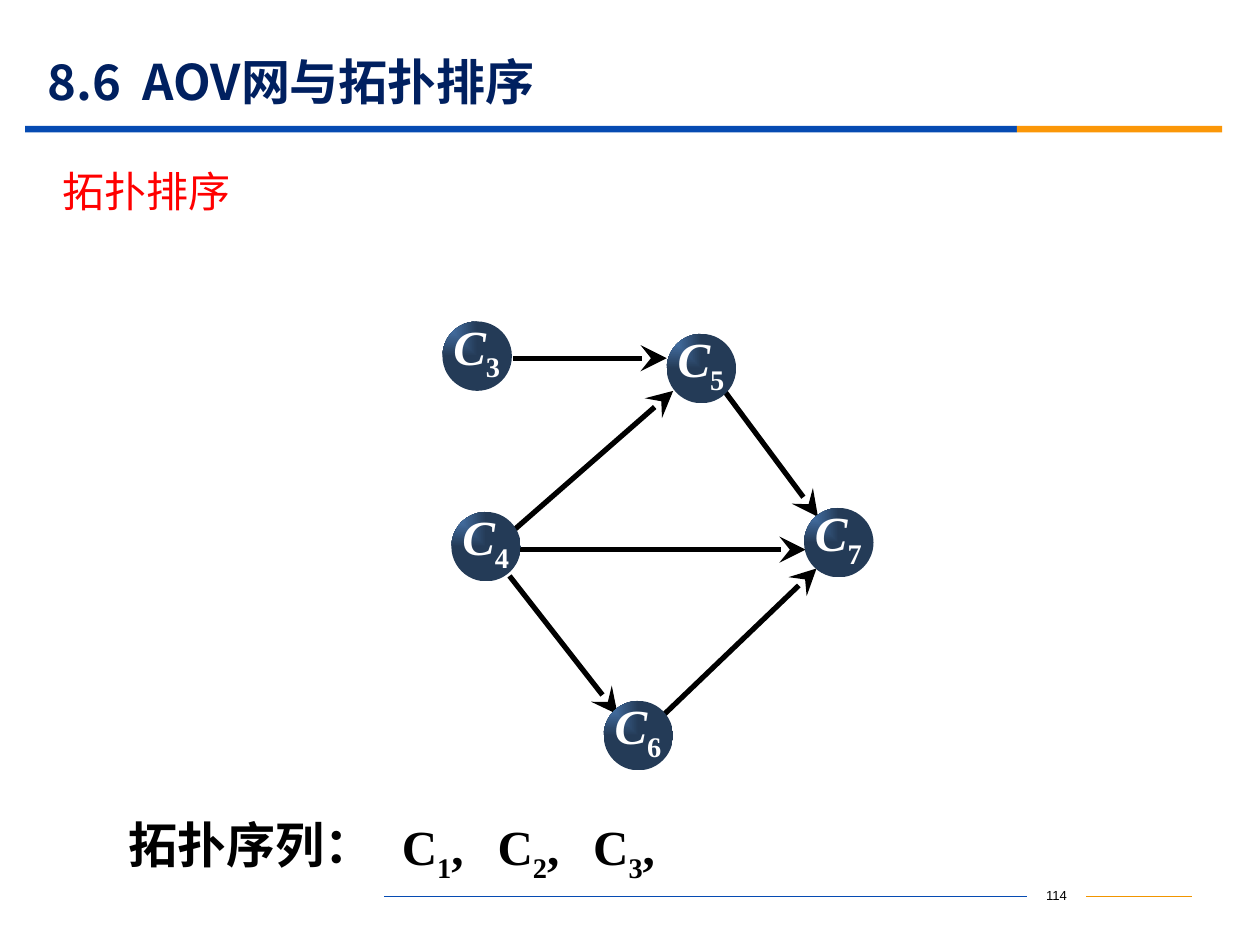
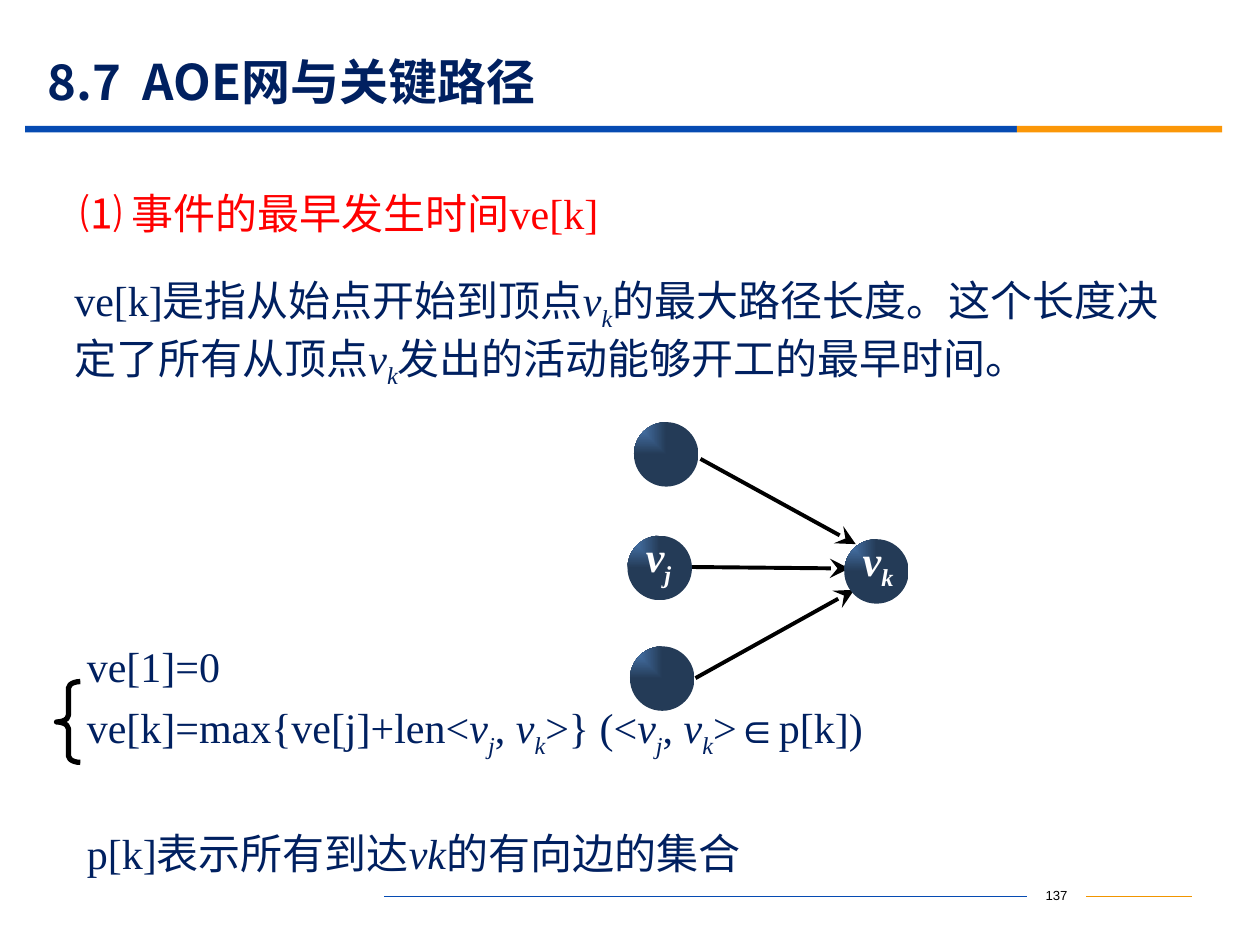
from dataclasses import dataclass

from lxml import etree
from pptx import Presentation
from pptx.dml.color import RGBColor
from pptx.enum.shapes import MSO_CONNECTOR as Connector, MSO_SHAPE as Preset
from pptx.enum.text import MSO_ANCHOR as Anchor, MSO_AUTO_SIZE as AutoSize, PP_ALIGN as Align
from pptx.oxml import parse_xml
from pptx.oxml.ns import nsdecls, qn
from pptx.util import Cm, Pt


@dataclass(frozen=True)
class Theme:
    navy: str = "002060"
    blue: str = "064BB2"
    orange: str = "FB9708"
    footer_orange: str = "F19500"
    red: str = "FF0000"
    black: str = "000000"
    white: str = "FFFFFF"
    node_light: str = "4F81BD"
    node_dark: str = "243B57"
    sans: str = "Noto Sans CJK SC"
    serif: str = "Times New Roman"
    footer_font: str = "Arial"
    title_size: float = 28
    text_size: float = 24
    footer_size: float = 7.5


THEME = Theme()
TITLE_ONLY = 5

# Run styles: variables are italic, indices are lowered
VAR = {"italic": True}
SUB = {"sub": True}
VAR_SUB = {"italic": True, "sub": True}
V_J = [("v", VAR), ("j", VAR_SUB)]
V_K = [("v", VAR), ("k", VAR_SUB)]

# Format of each kind of text
TITLE = {"name": THEME.sans, "size": THEME.title_size, "color": THEME.navy, "bold": True}
BODY = {"name": THEME.serif, "size": THEME.text_size, "color": THEME.navy}
HEADING = {**BODY, "color": THEME.red}
SEQUENCE = {**BODY, "size": THEME.title_size, "color": THEME.black, "bold": True}
NODE_LABEL = {**SEQUENCE, "color": THEME.white}
PAGE_NUMBER = {"name": THEME.footer_font, "size": THEME.footer_size, "color": THEME.black}


def rgb(color):
    return RGBColor.from_string(color)


def box_cm(box):
    return [Cm(length) for length in box]


def style_run(run, style):
    font = run.font
    for key, value in style.items():
        if key == "color":
            font.color.rgb = rgb(value)
        elif key == "size":
            font.size = Pt(value)
        elif key == "sub":
            run._r.get_or_add_rPr().set("baseline", "-25000")
        else:
            setattr(font, key, value)
    east_asian = etree.Element(qn("a:ea"), typeface=THEME.sans)
    run._r.rPr.find(qn("a:latin")).addnext(east_asian)


def write(paragraph, runs, style, **layout):
    """Fill a paragraph from a string or from (text, style) pairs."""
    if isinstance(runs, str):
        runs = [(runs, {})]
    for key, value in layout.items():
        setattr(paragraph, key, value)
    for text, extra in runs:
        run = paragraph.add_run()
        run.text = text
        style_run(run, {**style, **extra})


def set_frame(frame, insets=(0.25, 0.13, 0.25, 0.13), anchor=Anchor.TOP):
    settings = {"word_wrap": True, "auto_size": AutoSize.NONE, "vertical_anchor": anchor}
    sides = ("margin_left", "margin_top", "margin_right", "margin_bottom")
    settings.update(zip(sides, box_cm(insets)))
    for key, value in settings.items():
        setattr(frame, key, value)


def add_text(slide, box, paragraphs, style, **frame_settings):
    """Add a text box; each paragraph is (runs, paragraph layout)."""
    frame = slide.shapes.add_textbox(*box_cm(box)).text_frame
    set_frame(frame, **frame_settings)
    for index, (runs, layout) in enumerate(paragraphs):
        paragraph = frame.add_paragraph() if index else frame.paragraphs[0]
        write(paragraph, runs, style, **layout)


def add_line(slide, start, end, color, width, arrow=False):
    line = slide.shapes.add_connector(Connector.STRAIGHT, *box_cm(start + end))
    line.line.color.rgb = rgb(color)
    line.line.width = Pt(width)
    if arrow:
        etree.SubElement(line.line._get_or_add_ln(), qn("a:tailEnd"),
                         type="stealth", w="lg", len="lg")
    etree.SubElement(line._element.spPr, qn("a:effectLst"))


def add_band(slide, box, color):
    band = slide.shapes.add_shape(Preset.RECTANGLE, *box_cm(box))
    band.shadow.inherit = False
    band.fill.solid()
    band.fill.fore_color.rgb = rgb(color)
    band.line.fill.background()


# Shared parts of every slide
def add_title(slide, box, number, topic):
    title = slide.shapes.title
    title.left, title.top, title.width, title.height = box_cm(box)
    set_frame(title.text_frame, anchor=Anchor.MIDDLE)
    paragraph = title.text_frame.paragraphs[0]
    tabs = etree.SubElement(paragraph._p.get_or_add_pPr(), qn("a:tabLst"))
    etree.SubElement(tabs, qn("a:tab"), pos=str(Cm(1.92)), algn="l")
    write(paragraph, f"{number}\t{topic}", TITLE, alignment=Align.LEFT)


def add_title_rule(slide, box):
    left, top, width, height = box
    blue_width = 19.99
    add_band(slide, (left, top, blue_width, height), THEME.blue)
    add_band(slide, (left + blue_width, top, width - blue_width, height), THEME.orange)


def add_footer(slide, box, page):
    left, top, width, height = box
    number_left, number_width = left + 12.95, 1.2
    middle = top + 0.33
    add_line(slide, (left, middle), (number_left, middle), THEME.blue, 0.75)
    add_line(slide, (number_left + number_width, middle), (left + width, middle),
             THEME.footer_orange, 0.75)
    add_text(slide, (number_left, top, number_width, height),
             [(str(page), {"alignment": Align.CENTER})], PAGE_NUMBER)


def new_slide(deck, number, topic, page):
    slide = deck.slides.add_slide(deck.slide_layouts[TITLE_ONLY])
    add_title(slide, (0.71, 1.09, 22.86, 1.09), number, topic)
    add_title_rule(slide, (0.51, 2.54, 24.13, 0.13))
    add_footer(slide, (7.75, 17.75, 16.28, 0.64), page)
    return slide


# Directed graph
def add_node(slide, left, top, diameter):
    node = slide.shapes.add_shape(Preset.OVAL, *box_cm((left, top, diameter, diameter)))
    node.shadow.inherit = False
    gradient = parse_xml(
        f'<a:gradFill {nsdecls("a")} rotWithShape="1"><a:gsLst>'
        f'<a:gs pos="0"><a:srgbClr val="{THEME.node_light}"/></a:gs>'
        f'<a:gs pos="100000"><a:srgbClr val="{THEME.node_dark}"/></a:gs></a:gsLst>'
        '<a:path path="rect"><a:fillToRect r="100000" b="100000"/></a:path></a:gradFill>')
    node._element.spPr.find(qn("a:prstGeom")).addnext(gradient)
    node.line.fill.background()


def add_graph(slide, origin, diameter, nodes, edges, edge_width, label_size, label_inset):
    """Draw edges below nodes; all places are relative to the origin."""
    left, top = origin
    for x1, y1, x2, y2 in edges:
        add_line(slide, (left + x1, top + y1), (left + x2, top + y2),
                 THEME.black, edge_width, arrow=True)
    for x, y, label in nodes:
        add_node(slide, left + x, top + y, diameter)
        if label:
            add_text(slide, (left + x + 0.17, top + y - 0.15, 1.3, 1.65), [(label, {})],
                     {**NODE_LABEL, "size": label_size}, insets=(label_inset, 0.05, 0, 0.03))


def add_sequence(slide, box, caption, items):
    left, top, width, height = box
    caption_width, step = 5.51, 1.93
    add_text(slide, (left, top, caption_width + 0.6, height), [(caption, {})], SEQUENCE)
    for index, item in enumerate(items):
        add_text(slide, (left + caption_width + index * step, top + 0.04, 2.06, height),
                 [([("C", {}), (item, SUB), (",", {})], {})], SEQUENCE)


def add_formulas(slide, box):
    left, top, width, height = box
    pair = V_J + [(", ", {})] + V_K
    maximum = ([("ve[k]=max{ve[j]+len<", {})] + pair + [(">} (<", {})]
               + pair + [(">∈p[k])", {})])
    edge_set = [("p[k]表示所有到达", {}), ("vk", VAR), ("的有向边的集合", {})]
    spacing = {"line_spacing": 1.2}
    add_text(slide, (left + 0.36, top, width - 0.36, height),
             [("ve[1]=0", spacing), (maximum, spacing),
              (edge_set, {**spacing, "space_before": Pt(33)})],
             BODY, anchor=Anchor.MIDDLE)
    brace = slide.shapes.add_shape(Preset.LEFT_BRACE,
                                   *box_cm((left, top + 1.21, 0.48, 1.63)))
    brace.shadow.inherit = False
    brace.adjustments[0] = 0.28
    brace.fill.background()
    brace.line.color.rgb = rgb(THEME.black)
    brace.line.width = Pt(3)


def build_topological_sort(deck):
    slide = new_slide(deck, "8.6", "AOV网与拓扑排序", 114)
    add_text(slide, (1.02, 3.2, 16.54, 1.27), [("拓扑排序", {})],
             {**HEADING, "name": THEME.sans})

    places = {"3": (0, 0), "4": (0.18, 3.84), "5": (4.52, 0.25),
              "6": (3.25, 7.65), "7": (7.29, 3.76)}
    courses = [(x, y, [("C", VAR), (index, SUB)]) for index, (x, y) in places.items()]
    prerequisites = [
        (1.42, 0.74, 4.52, 0.74),  # C3 to C5
        (1.4, 4.24, 4.65, 1.4),    # C4 to C5
        (1.35, 5.13, 3.53, 7.92),  # C4 to C6
        (1.47, 4.6, 7.32, 4.6),    # C4 to C7
        (4.47, 7.92, 7.54, 4.98),  # C6 to C7
        (5.66, 1.37, 7.57, 3.94),  # C5 to C7
    ]
    add_graph(slide, (8.92, 6.48), 1.4, courses, prerequisites,
              edge_width=3, label_size=THEME.title_size, label_inset=0.05)
    add_sequence(slide, (2.34, 16.3, 11.5, 1.45), "拓扑序列：", "123")


def build_earliest_time(deck):
    slide = new_slide(deck, "8.7", "AOE网与关键路径", 137)
    add_text(slide, (1.37, 3.66, 12.5, 1.27), [("⑴ 事件的最早发生时间ve[k]", {})],
             HEADING, anchor=Anchor.MIDDLE)
    definition = ([("ve[k]是指从始点开始到顶点", {})] + V_K
                  + [("的最大路径长度。这个长度决定了所有从顶点", {})] + V_K
                  + [("发出的活动能够开工的最早时间。", {})])
    add_text(slide, (1.5, 5.54, 22.35, 2.06), [(definition, {})], BODY, insets=(0, 0, 0, 0))

    events = [(0.13, 0, None), (0, 2.29, V_J), (0.05, 4.52, None), (4.37, 2.36, V_K)]
    activities = [(1.47, 0.74, 4.6, 2.46), (1.3, 2.92, 4.47, 2.95), (1.37, 5.16, 4.57, 3.38)]
    add_graph(slide, (12.65, 8.51), 1.3, events, activities,
              edge_width=2.25, label_size=THEME.text_size, label_inset=0.2)
    add_formulas(slide, (1.14, 12.53, 19.61, 5.33))


def main():
    deck = Presentation()
    deck.slide_width, deck.slide_height = Cm(25.4), Cm(19.05)
    build_topological_sort(deck)
    build_earliest_time(deck)
    deck.save("out.pptx")


if __name__ == "__main__":
    main()
